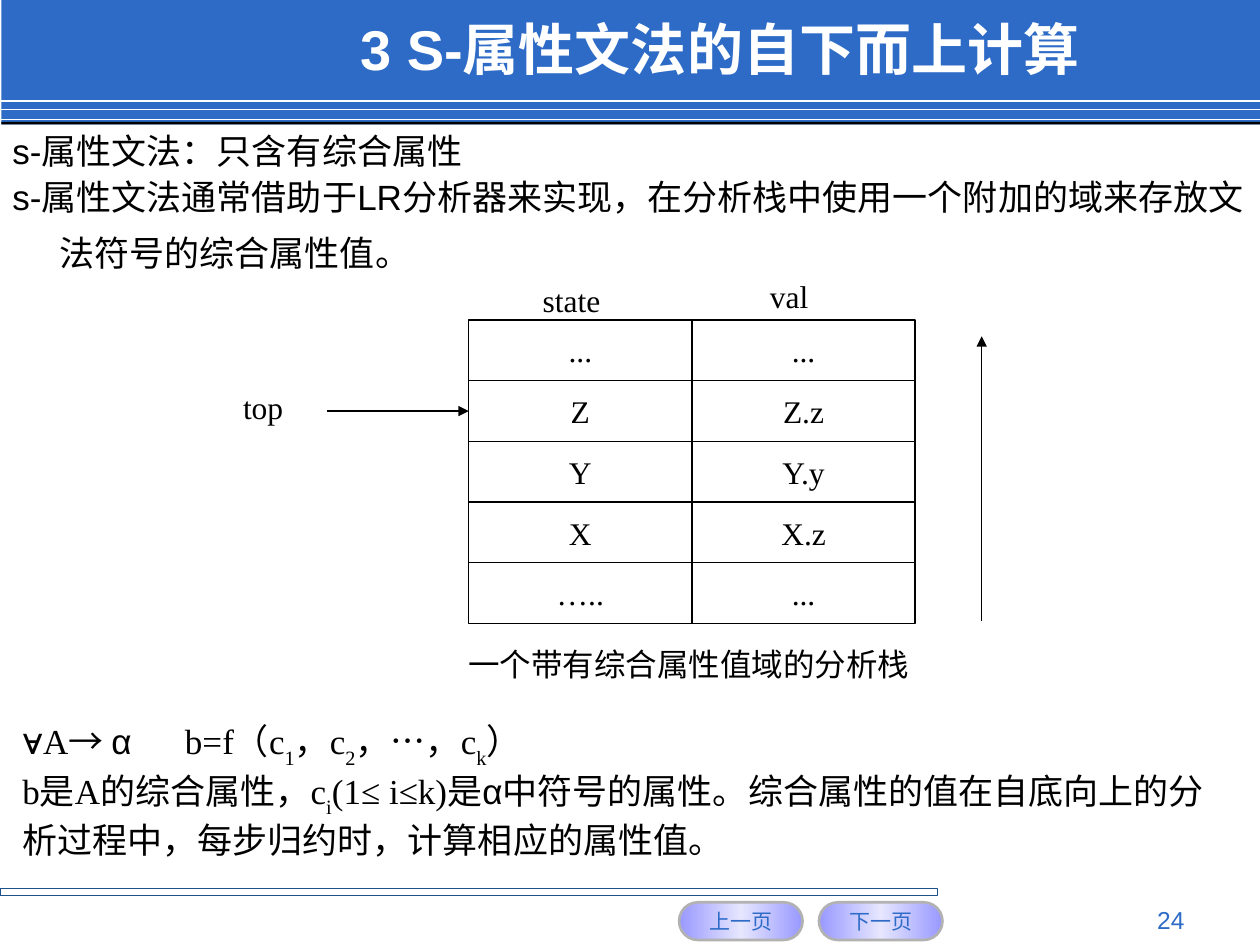
from copy import deepcopy
from dataclasses import dataclass

from pptx import Presentation
from pptx.dml.color import RGBColor
from pptx.enum.shapes import MSO_CONNECTOR, MSO_SHAPE
from pptx.enum.text import MSO_ANCHOR, MSO_AUTO_SIZE, PP_ALIGN
from pptx.oxml.ns import qn
from pptx.util import Cm, Pt
from lxml import etree

RECT, ROUND = MSO_SHAPE.RECTANGLE, MSO_SHAPE.ROUNDED_RECTANGLE
STRAIGHT = MSO_CONNECTOR.STRAIGHT
TOP, MIDDLE = MSO_ANCHOR.TOP, MSO_ANCHOR.MIDDLE
LEFT, CENTER, RIGHT, JUSTIFY = PP_ALIGN.LEFT, PP_ALIGN.CENTER, PP_ALIGN.RIGHT, PP_ALIGN.JUSTIFY
NO_FIT = MSO_AUTO_SIZE.NONE


@dataclass(frozen=True)
class Theme:
    blue: str = "2D6BC7"
    rule: str = "1D528D"
    black: str = "000000"
    white: str = "FFFFFF"
    button_edge: str = "B2B2B2"
    button_dark: str = "9999FF"
    button_light: str = "E6E6FF"
    sans: str = "Arial"
    serif: str = "Times New Roman"
    cjk: str = "Noto Sans CJK SC"
    title: int = 32
    spacer: int = 28
    body: int = 20
    label: int = 18
    page: int = 14
    button: int = 12


T = Theme()
LABEL = {"name": T.serif, "size": T.label}
BODY = {"name": T.sans, "size": T.body}
FORMULA = {"name": T.serif, "size": T.body}
GREEK = BODY
ARROW = {"name": T.cjk, "size": T.body}
SUB = {**FORMULA, "baseline": -30000}


def rgb(color):
    return RGBColor.from_string(color)


def add_run(p, text, fmt):
    r = p.add_run()
    r.text = text
    values = {"color": T.black, **fmt}
    r.font.color.rgb = rgb(values.pop("color"))
    baseline = values.pop("baseline", None)
    values["size"] = Pt(values["size"])
    for key, value in values.items():
        setattr(r.font, key, value)
    rPr = r.font._element
    if baseline:
        rPr.set("baseline", str(baseline))
    etree.SubElement(rPr, qn("a:ea")).set("typeface", T.cjk)


def write(s, paragraphs, align=LEFT, anchor=TOP, wrap=True, top=0.13, bottom=0.13):
    tf = s.text_frame
    frame = {"auto_size": NO_FIT, "word_wrap": wrap, "vertical_anchor": anchor,
             "margin_left": Cm(0.25), "margin_right": Cm(0.25),
             "margin_top": Cm(top), "margin_bottom": Cm(bottom)}
    for key, value in frame.items():
        setattr(tf, key, value)
    for i, runs in enumerate(paragraphs):
        p = tf.add_paragraph() if i else tf.paragraphs[0]
        p.alignment = align
        for text, fmt in runs:
            add_run(p, text, fmt)
    return tf


def add_box(shapes, box, kind=RECT, fill=None, line=None, width=0.75):
    s = shapes.add_shape(kind, *map(Cm, box))
    s.shadow.inherit = False
    if fill:
        s.fill.solid()
        s.fill.fore_color.rgb = rgb(fill)
    else:
        s.fill.background()
    if line:
        s.line.color.rgb = rgb(line)
        s.line.width = Pt(width)
    else:
        s.line.fill.background()
    return s


def add_text(shapes, box, text, fmt, **options):
    return write(shapes.add_textbox(*map(Cm, box)), [[(text, fmt)]], **options)


def add_line(shapes, start, end, color, width=0.75, arrow=False):
    s = shapes.add_connector(STRAIGHT, *map(Cm, start + end))
    s.line.color.rgb = rgb(color)
    s.line.width = Pt(width)
    if arrow:
        ln = s.line._get_or_add_ln()
        etree.SubElement(ln, qn("a:tailEnd")).set("type", "triangle")
    etree.SubElement(s._element.spPr, qn("a:effectLst"))
    return s


def place(shapes, ph, box):
    shapes._spTree.append(ph._element)
    for key, value in zip(("left", "top", "width", "height"), box):
        setattr(ph, key, Cm(value))


def header(shapes, box):
    x, y, w, h = box
    add_box(shapes, (x, y, w, h), fill=T.blue)
    for dy in (2.03, 2.21, 2.41):
        add_line(shapes, (x, y + dy), (x + w, y + dy), T.white, 1)
    add_box(shapes, (x, y + h - 0.05, w, 0.05), fill=T.black)
    place(shapes, shapes.title, (x + 6.98, y + 0.23, 17.58, 1.47))
    fmt = {"name": T.sans, "size": T.title, "bold": True, "color": T.white}
    write(shapes.title, [[("3 S-属性文法的自下而上计算", fmt)]], anchor=MIDDLE)


def button(shapes, box, text):
    s = add_box(shapes, box, ROUND, line=T.button_edge, width=1.5)
    s.adjustments[0] = 0.5
    s.fill.gradient()
    s.fill.gradient_angle = 0
    stops = s._element.spPr.find(".//" + qn("a:gsLst"))
    stops.append(deepcopy(stops[0]))
    colors = (T.button_dark, T.button_light, T.button_dark)
    for i, (stop, color) in enumerate(zip(s.fill.gradient_stops, colors)):
        stop.position = i / 2
        stop.color.rgb = rgb(color)
    fmt = {"name": T.sans, "size": T.button, "color": T.blue}
    write(s, [[(text, fmt)]], align=CENTER, anchor=MIDDLE, wrap=False)


def footer(shapes, box):
    x, y, w, h = box
    add_box(shapes, (x, y, 18.9, 0.15), line=T.rule)
    for i, text in enumerate(("上一页", "下一页")):
        button(shapes, (x + 13.69 + 2.82 * i, y + 0.28, 2.49, 0.76), text)
    fmt = {"name": T.sans, "size": T.page, "color": T.blue}
    add_text(shapes, (x + w - 7.19, y + 0.2, 5.92, 0.69), "24", fmt, align=RIGHT)


def definitions(shapes, box):
    body = shapes.placeholders[1]
    place(shapes, body, box)
    tf = write(body, [
        [("s-属性文法：只含有综合属性", BODY)],
        [("s-属性文法通常借助于LR分析器来实现，在分析栈中使用一个附加的域来存放文法符号的综合属性值。", BODY),
         (" ", {**BODY, "size": T.spacer})],
    ], top=0)
    for p, before in zip(tf.paragraphs, (0, 2)):
        pPr = p._p.get_or_add_pPr()
        pPr.set("marL", str(Cm(0.95)))
        pPr.set("indent", str(-Cm(0.95)))
        etree.SubElement(pPr, qn("a:buNone"))
        p.space_before = Pt(before)


def parse_stack(shapes, box):
    x, y, w, h = box
    rows = (("...", "..."), ("Z", "Z.z"), ("Y", "Y.y"), ("X", "X.z"), ("…..", "..."))
    cell_w, cell_h = w / 2, h / len(rows)
    add_text(shapes, (x + 1.24, y - 0.79, 2.9, 0.71), "state", LABEL, align=JUSTIFY, top=0)
    add_text(shapes, (x + 5.82, y - 0.99, 2.26, 1.27), "val", LABEL, align=JUSTIFY)
    states = []
    for i, row in enumerate(rows):
        for j, text in enumerate(row):
            cell = (x + j * cell_w, y + i * cell_h, cell_w, cell_h)
            s = add_box(shapes, cell, fill=T.white, line=T.black)
            write(s, [[(text, LABEL)]], align=CENTER, anchor=MIDDLE)
            if j == 0:
                states.append(s)
    pointer_y = y + 1.5 * cell_h
    add_text(shapes, (x - 4.8, pointer_y - 0.6, 2, 1), "top", LABEL, align=JUSTIFY)
    pointer = add_line(shapes, (x - 2.85, pointer_y), (x, pointer_y), T.black, arrow=True)
    pointer.end_connect(states[1], 1)
    growth_x = x + w + 1.34
    add_line(shapes, (growth_x, y + h - 0.05), (growth_x, y + 0.33), T.black, arrow=True)
    add_text(shapes, (x - 0.48, y + h + 0.3, 9.83, 0.91),
             "一个带有综合属性值域的分析栈", LABEL, align=CENTER)


def rule_text(shapes, box):
    s = shapes.add_textbox(*map(Cm, box))
    tf = write(s, [
        [("∀", GREEK), ("A", FORMULA), ("→ ", ARROW), ("α", GREEK),
         ("\tb=f（c", FORMULA), ("1", SUB), ("，c", FORMULA), ("2", SUB),
         ("，…，c", FORMULA), ("k", SUB), ("）", FORMULA)],
        [("b是A的综合属性，c", FORMULA), ("i", SUB), ("(1≤ i≤k)是", FORMULA), ("α", GREEK),
         ("中符号的属性。综合属性的值在自底向上的分析过程中，每步归约时，计算相应的属性值。", FORMULA)],
    ], anchor=MIDDLE)
    tabs = etree.SubElement(tf.paragraphs[0]._p.get_or_add_pPr(), qn("a:tabLst"))
    etree.SubElement(tabs, qn("a:tab"), pos=str(Cm(3.28)), algn="l")


def main():
    prs = Presentation()
    prs.slide_width, prs.slide_height = Cm(25.4), Cm(19.05)
    shapes = prs.slides.add_slide(prs.slide_layouts[1]).shapes
    header(shapes, (0.03, 0, 25.37, 2.51))
    footer(shapes, (0, 17.91, 25.4, 1.14))
    definitions(shapes, (0, 2.62, 25.4, 15.19))
    parse_stack(shapes, (9.45, 6.45, 9, 6.12))
    rule_text(shapes, (0.2, 14.38, 24.89, 3.1))
    prs.save("out.pptx")


if __name__ == "__main__":
    main()
